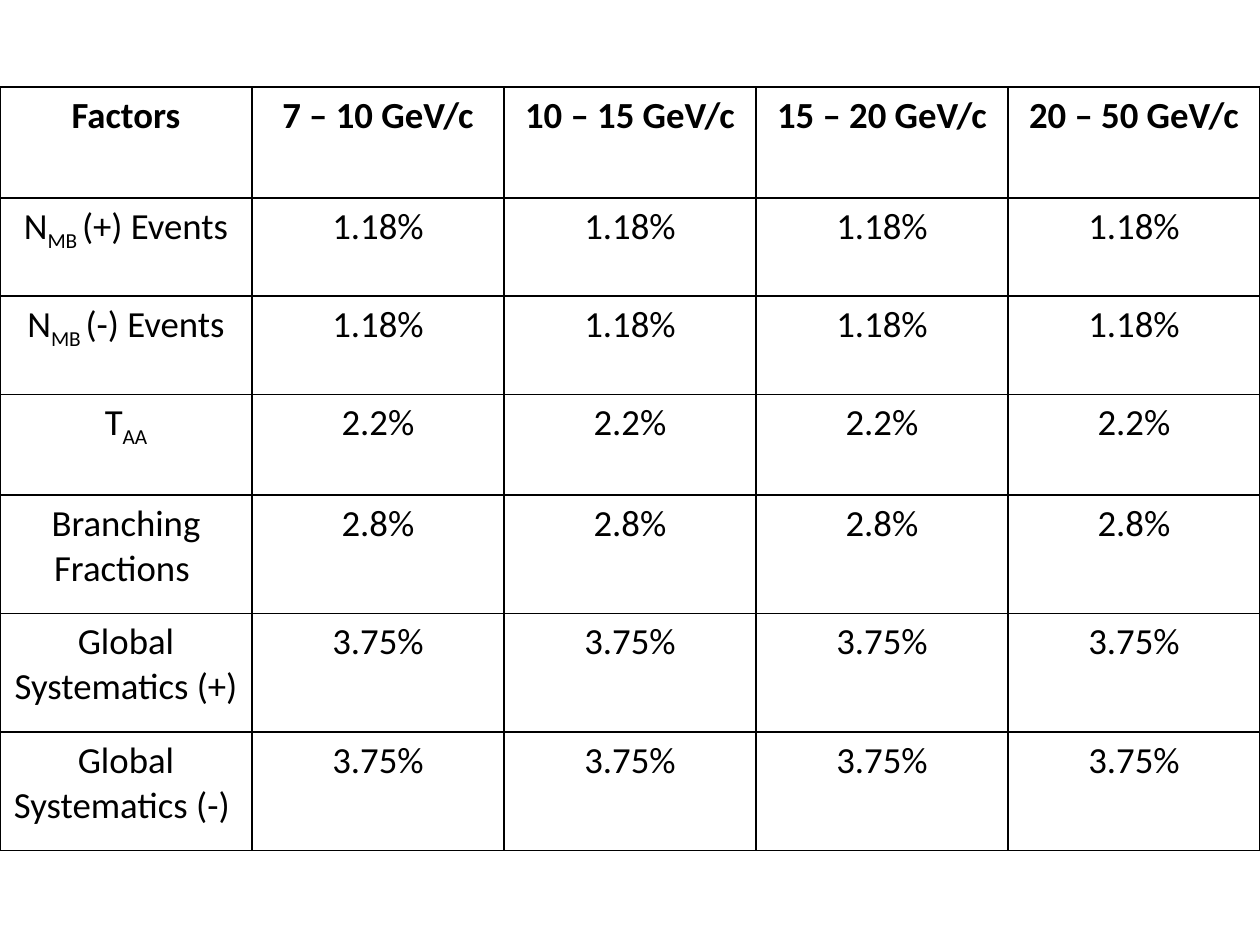
"""Build a slide with a table of global systematic uncertainties by momentum range."""
import pptx
import pptx.dml.color
import pptx.enum.text
import pptx.oxml
import pptx.oxml.ns
import pptx.util

Inches = pptx.util.Inches

HEADINGS = ["Factors", "7 – 10 GeV/c", "10 – 15 GeV/c", "15 – 20 GeV/c", "20 – 50 GeV/c"]
FACTORS = [
    (["N", "MB ", "(+) Events"], "1.18%", 0.78),
    (["N", "MB ", "(-) Events"], "1.18%", 0.78),
    (["T", "AA"], "2.2%", 0.8),
    (["Branching Fractions "], "2.8%", 0.94),
    (["Global Systematics (+) "], "3.75%", 0.94),
    (["Global Systematics (-) "], "3.75%", 0.94),
]


def colour(value):
    return pptx.dml.color.RGBColor.from_string(value)


class SlideBuilder:
    ink = "000000"
    paper = "FFFFFF"
    border_points = 1
    text_format = {"name": "Calibri", "size": pptx.util.Pt(21)}

    def __init__(self, deck):
        self.page = deck.slides.add_slide(deck.slide_layouts[6])

    def table(self, left, top, column_width, heights, rows):
        columns = len(rows[0])
        frame = self.page.shapes.add_table(
            len(rows), columns, Inches(left), Inches(top),
            Inches(column_width * columns), Inches(sum(heights)))
        grid = frame.table
        for column in grid.columns:
            column.width = Inches(column_width)
        for row_index, (height, row) in enumerate(zip(heights, rows)):
            grid.rows[row_index].height = Inches(height)
            for column_index, pieces in enumerate(row):
                cell = grid.cell(row_index, column_index)
                self.borders(cell)
                cell.fill.solid()
                cell.fill.fore_color.rgb = colour(self.paper)
                self.text(cell, pieces, bold=row_index == 0)

    def borders(self, cell):
        properties = cell._tc.get_or_add_tcPr()
        width = pptx.util.Pt(self.border_points)
        for side in ("lnL", "lnR", "lnT", "lnB"):
            properties.append(pptx.oxml.parse_xml(
                f'<a:{side} {pptx.oxml.ns.nsdecls("a")} w="{width}"><a:solidFill>'
                f'<a:srgbClr val="{self.ink}"/></a:solidFill></a:{side}>'))

    def text(self, cell, pieces, bold):
        para = cell.text_frame.paragraphs[0]
        para.alignment = pptx.enum.text.PP_ALIGN.CENTER
        for index, piece in enumerate(pieces):
            span = para.add_run()
            span.text = piece
            for name, value in {**self.text_format, "bold": bold}.items():
                setattr(span.font, name, value)
            span.font.color.rgb = colour(self.ink)
            if index == 1:
                span._r.get_or_add_rPr().set("baseline", "-25000")


def main():
    deck = pptx.Presentation()
    deck.slide_width, deck.slide_height = Inches(10), Inches(7.5)
    ranges = len(HEADINGS) - 1
    rows = [[[heading] for heading in HEADINGS]]
    rows += [[label] + [[value]] * ranges for label, value, height in FACTORS]
    heights = [0.88] + [height for label, value, height in FACTORS]
    SlideBuilder(deck).table(0, 0.69, 2, heights, rows)
    deck.save("out.pptx")


if __name__ == "__main__":
    main()
